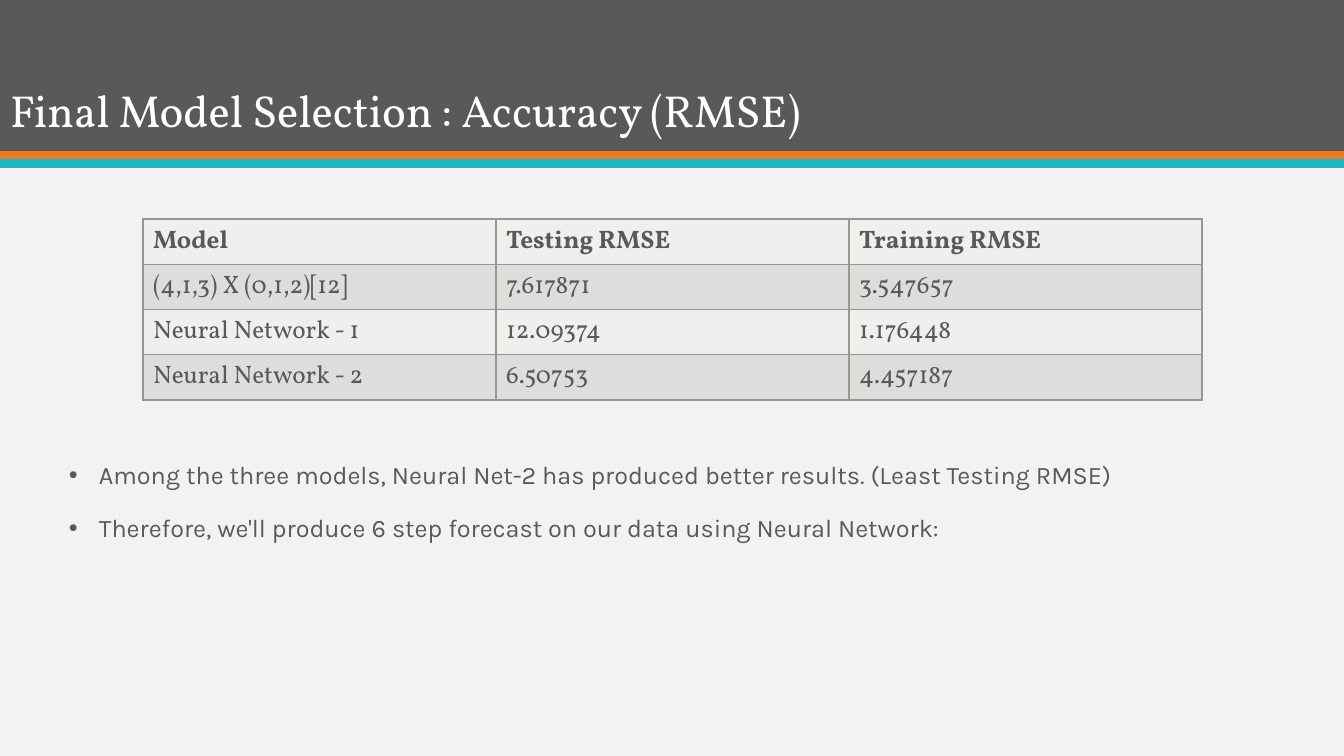
from lxml import etree
from pptx import Presentation
from pptx import util as u
from pptx.dml.color import RGBColor
from pptx.enum import shapes, text
from pptx.oxml.ns import qn

TITLE = "Final Model Selection : Accuracy (RMSE)"
ROWS = [
    ("Model", "Testing RMSE", "Training RMSE"),
    ("(4,1,3) X (0,1,2)[12]", "7.617871", "3.547657"),
    ("Neural Network - 1", "12.09374", "1.176448"),
    ("Neural Network - 2", "6.50753", "4.457187"),
]
POINTS = [
    "Among the three models, Neural Net-2 has produced better results. (Least Testing RMSE)",
    "Therefore, we'll produce 6 step forecast on our data using Neural Network:",
]
BANDS = [(0, 151, "595959"), (151, 9, "EF7920"), (159, 9, "1EB8C1")]  # top, height, colour
WIDTH, HEIGHT = 1344, 756
TABLE_LEFT, TABLE_TOP, COLUMN_WIDTH, ROW_HEIGHT = 143, 219, 353, 41
INDENT = 30
GREY, BORDER = "595959", "969890"
ROW_FILLS = ("EFEFEE", "DDDDDB")


def px(length):
    return u.Emu(round(length * 914400 / 100.8))


def colour(code):
    return RGBColor.from_string(code)


def paint(part, code):
    part.fill.solid()
    part.fill.fore_color.rgb = colour(code)


def write(para, words, font="Vollkorn", size=18, code=GREY, bold=False, spacing=None, before=None):
    span = para.add_run()
    span.text = words
    span.font.name, span.font.size, span.font.bold = font, u.Pt(size), bold
    span.font.color.rgb = colour(code)
    para.alignment = text.PP_ALIGN.LEFT
    para.line_spacing = spacing
    if before is not None:
        para.space_before = u.Pt(before)


def add_bullet(para):
    props = para._p.get_or_add_pPr()
    props.set("marL", str(px(INDENT)))
    props.set("indent", str(px(-INDENT)))
    font = etree.SubElement(props, qn("a:buFont"))
    font.set("typeface", "Arial")
    etree.SubElement(props, qn("a:buChar")).set("char", "•")


def add_borders(cell):
    """Outline a cell; its lines must precede its fill in the XML."""
    props = cell._tc.get_or_add_tcPr()
    for place, side in enumerate(("lnL", "lnR", "lnT", "lnB")):
        line = etree.Element(qn("a:" + side), w=str(u.Pt(1)))
        fill = etree.SubElement(line, qn("a:solidFill"))
        etree.SubElement(fill, qn("a:srgbClr")).set("val", BORDER)
        props.insert(place, line)


deck = Presentation()
deck.slide_width, deck.slide_height = px(WIDTH), px(HEIGHT)
page = deck.slides.add_slide(deck.slide_layouts[5])
paint(page.background, "F2F2F2")

for top, height, code in BANDS:
    band = page.shapes.add_shape(shapes.MSO_SHAPE.RECTANGLE, 0, px(top), px(WIDTH), px(height))
    band.shadow.inherit = False
    paint(band, code)
    band.line.fill.background()

title = page.shapes.title
page.shapes.element.append(title.element)  # in front of the bands
title.left, title.top, title.width, title.height = px(0), px(28), px(1058), px(114)
title.text_frame.vertical_anchor = text.MSO_ANCHOR.BOTTOM
title.text_frame.word_wrap = True
write(title.text_frame.paragraphs[0], TITLE, size=32, code="FFFFFF", spacing=0.9, before=0)

columns = len(ROWS[0])
table = page.shapes.add_table(len(ROWS), columns, px(TABLE_LEFT), px(TABLE_TOP),
                              px(COLUMN_WIDTH * columns), px(ROW_HEIGHT * len(ROWS))).table
for row, values in enumerate(ROWS):
    for column, value in enumerate(values):
        cell = table.cell(row, column)
        paint(cell, ROW_FILLS[row % 2])
        add_borders(cell)
        write(cell.text_frame.paragraphs[0], value, bold=row == 0)

box = page.shapes.add_textbox(px(59), px(458), px(1194), px(149))
frame = box.text_frame
frame.word_wrap = True
for number, point in enumerate(POINTS):
    para = frame.add_paragraph() if number else frame.paragraphs[0]
    write(para, point, font="Karla", spacing=0.9, before=18)
    add_bullet(para)

deck.save("out.pptx")
